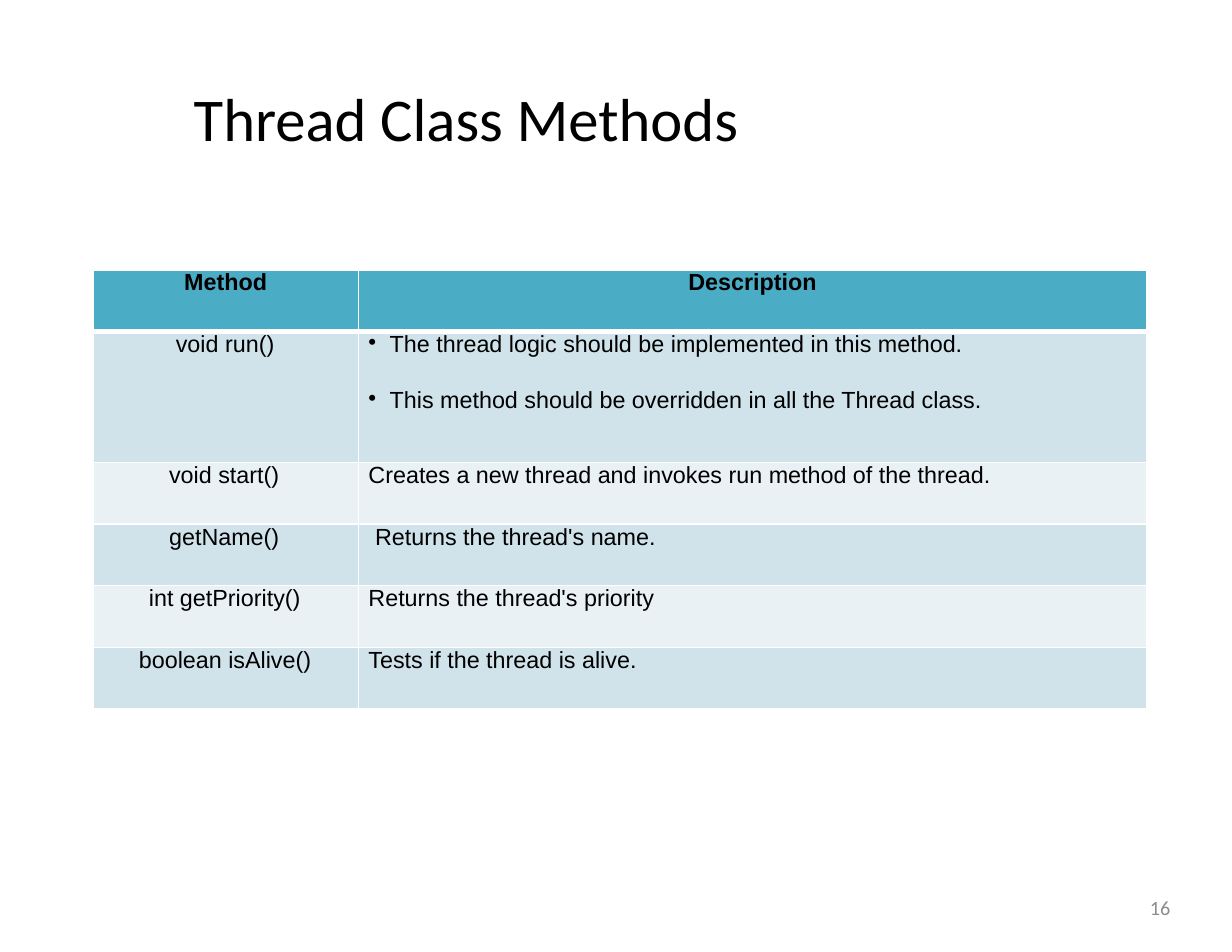
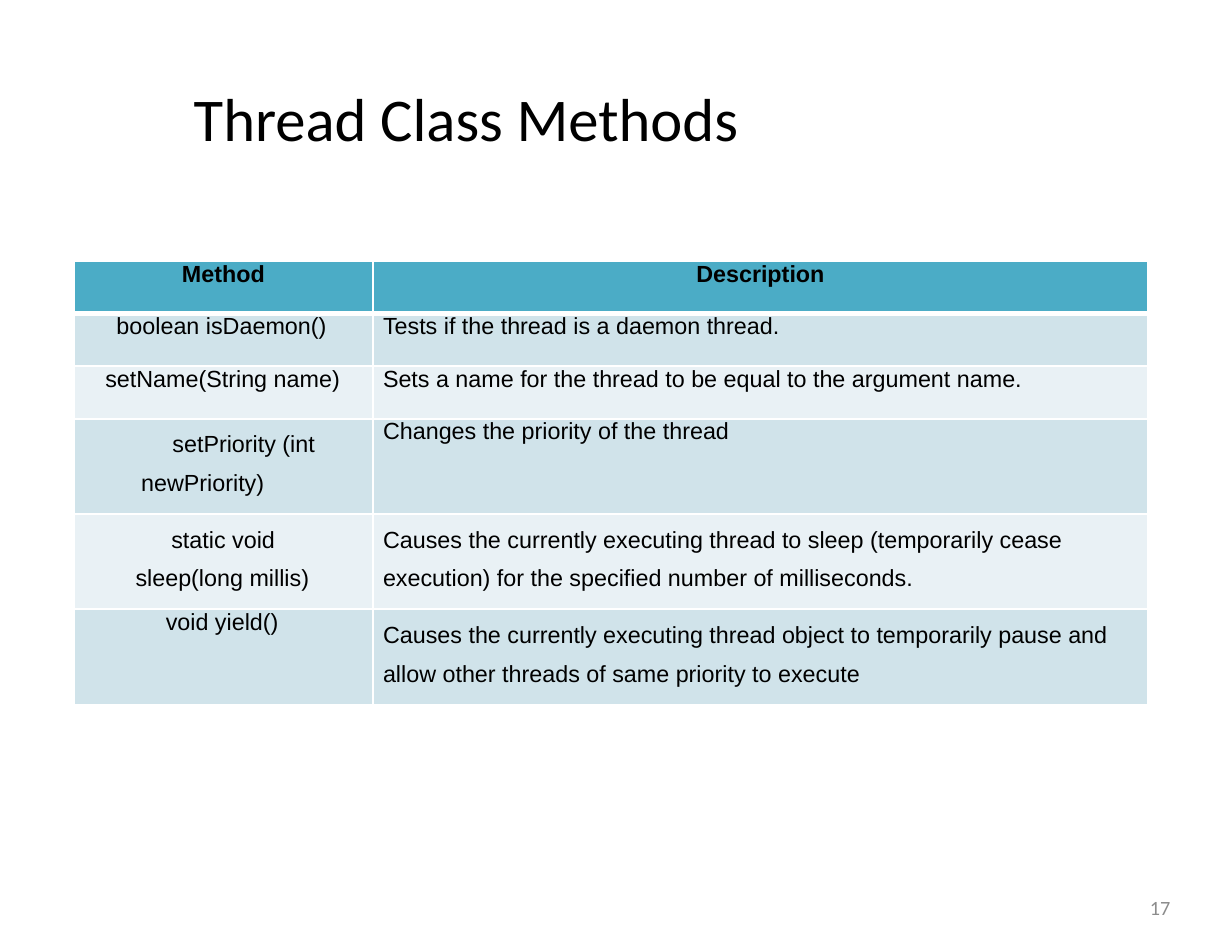
from dataclasses import dataclass

from lxml import etree
from pptx import Presentation
from pptx import util as u
from pptx.dml.color import RGBColor
from pptx.enum import text as t
from pptx.oxml import ns

COLORS = {
    "text": "000000",
    "number": "8C8C8C",
    "header": "4BACC6",
    "odd_row": "D0E3EA",
    "even_row": "E9F1F5",
    "border": "FFFFFF",
}
TITLE = "Thread Class Methods"
HEADINGS = ("Method", "Description")
THIN, THICK = 1.1, 3.1


@dataclass
class Method:
    name: str
    indent: float
    description: str
    height: float
    first_line: float = 0
    name_spacing: float = 1
    description_indent: float = 0.09
    description_spacing: float = 1
    bulleted: bool = False


BASIC_METHODS = [
    Method("void run()", 0.74,
           "The thread logic should be implemented in this method.\n"
           "This method should be overridden in all the Thread class.",
           1.17, bulleted=True),
    Method("void start()", 0.68,
           "Creates a new thread and invokes run method of the thread.", 0.55),
    Method("getName()", 0.68, "Returns the thread's name.", 0.55,
           description_indent=0.15),
    Method("int getPriority()", 0.5, "Returns the thread's priority", 0.55),
    Method("boolean isAlive()", 0.41, "Tests if the thread is alive.", 0.55),
]
CONTROL_METHODS = [
    Method("boolean isDaemon()", 0.38, "Tests if the thread is a daemon thread.", 0.47),
    Method("setName(String name)", 0.28,
           "Sets a name for the thread to be equal to the argument name.", 0.47),
    Method("setPriority (int newPriority)", 0.6, "Changes the priority of the thread",
           0.85, first_line=0.28, name_spacing=1.5),
    Method("static void sleep(long millis)", 0.55,
           "Causes the currently executing thread to sleep (temporarily cease "
           "execution) for the specified number of milliseconds.",
           0.85, first_line=0.32, name_spacing=1.5, description_spacing=1.5),
    Method("void yield()", 0.82,
           "Causes the currently executing thread object to temporarily pause and "
           "allow other threads of same priority to execute",
           0.85, description_spacing=1.5),
]


def write_text(frame, content, font="Arial", size=15, color="text", bold=False,
               align=t.PP_ALIGN.LEFT, indent=0, first_line=0, line_spacing=1,
               gap=0, bullet=None):
    """Write one paragraph for each line of content, with a gap between them."""
    frame.word_wrap = True
    for index, line in enumerate(content.split("\n")):
        paragraph = frame.add_paragraph() if index else frame.paragraphs[0]
        paragraph.alignment = align
        paragraph.line_spacing = line_spacing
        paragraph.space_before = u.Pt(gap if index else 0)
        run = paragraph.add_run()
        run.text = line
        run.font.name, run.font.size, run.font.bold = font, u.Pt(size), bold
        run.font.color.rgb = RGBColor.from_string(COLORS[color])
        properties = paragraph._p.get_or_add_pPr()
        properties.set("marL", str(u.Inches(indent)))
        properties.set("indent", str(u.Inches(first_line)))
        if bullet:
            etree.SubElement(properties, ns.qn("a:buChar"), char=bullet)


def add_text_box(slide, left, top, width, height, content, **text_format):
    box = slide.shapes.add_textbox(*map(u.Inches, (left, top, width, height)))
    frame = box.text_frame
    frame.margin_left = frame.margin_right = frame.margin_top = frame.margin_bottom = 0
    frame.vertical_anchor = t.MSO_ANCHOR.MIDDLE
    write_text(frame, content, **text_format)


def style_cell(cell, fill, top=THIN, bottom=THIN):
    cell.margin_left = cell.margin_right = cell.margin_top = cell.margin_bottom = 0
    cell.fill.solid()
    cell.fill.fore_color.rgb = RGBColor.from_string(COLORS[fill])
    # Borders come before the fill in the cell properties
    properties = cell._tc.get_or_add_tcPr()
    borders = {"lnL": THIN, "lnR": THIN, "lnT": top, "lnB": bottom}
    for index, (side, width) in enumerate(borders.items()):
        line = etree.Element(ns.qn("a:" + side), w=str(u.Pt(width)))
        solid = etree.SubElement(line, ns.qn("a:solidFill"))
        etree.SubElement(solid, ns.qn("a:srgbClr"), val=COLORS["border"])
        properties.insert(index, line)


def add_method_table(slide, left, top, column_widths, header_height, methods):
    heights = [header_height] + [method.height for method in methods]
    frame = slide.shapes.add_table(
        len(heights), len(column_widths), u.Inches(left), u.Inches(top),
        u.Inches(sum(column_widths)), u.Inches(sum(heights)))
    table = frame.table
    for column, width in zip(table.columns, column_widths):
        column.width = u.Inches(width)
    for row, height in zip(table.rows, heights):
        row.height = u.Inches(height)

    # Header row
    for cell, heading in zip(table.rows[0].cells, HEADINGS):
        style_cell(cell, "header", bottom=THICK)
        write_text(cell.text_frame, heading, bold=True, align=t.PP_ALIGN.CENTER)

    # One row for each method, in alternating colours
    for number, method in enumerate(methods, 1):
        name_cell, description_cell = table.rows[number].cells
        for cell in (name_cell, description_cell):
            style_cell(cell, "odd_row" if number % 2 else "even_row",
                       top=THICK if number == 1 else THIN)
        write_text(name_cell.text_frame, method.name, indent=method.indent,
                   first_line=method.first_line, line_spacing=method.name_spacing)
        if method.bulleted:
            write_text(description_cell.text_frame, method.description, indent=0.28,
                       first_line=-0.19, gap=19.4, bullet="•")
        else:
            write_text(description_cell.text_frame, method.description,
                       indent=method.description_indent,
                       line_spacing=method.description_spacing)


def add_slide(presentation, number):
    """Add a blank slide with the shared title and slide number."""
    slide = presentation.slides.add_slide(presentation.slide_layouts[6])
    add_text_box(slide, 0.55, 0.72, 9.9, 0.66, TITLE,
                 font="Calibri", size=39, indent=1.18)
    add_text_box(slide, 7.88, 7.88, 2.57, 0.45, str(number), font="Calibri",
                 size=13, color="number", align=t.PP_ALIGN.RIGHT)
    return slide


def main():
    presentation = Presentation()
    presentation.slide_width = u.Inches(11)
    presentation.slide_height = u.Inches(8.5)

    add_method_table(add_slide(presentation, 16), 0.83, 2.41, (2.37, 7.04), 0.55,
                     BASIC_METHODS)
    add_method_table(add_slide(presentation, 17), 0.66, 2.33, (2.67, 6.92), 0.47,
                     CONTROL_METHODS)

    presentation.save("out.pptx")


if __name__ == "__main__":
    main()
